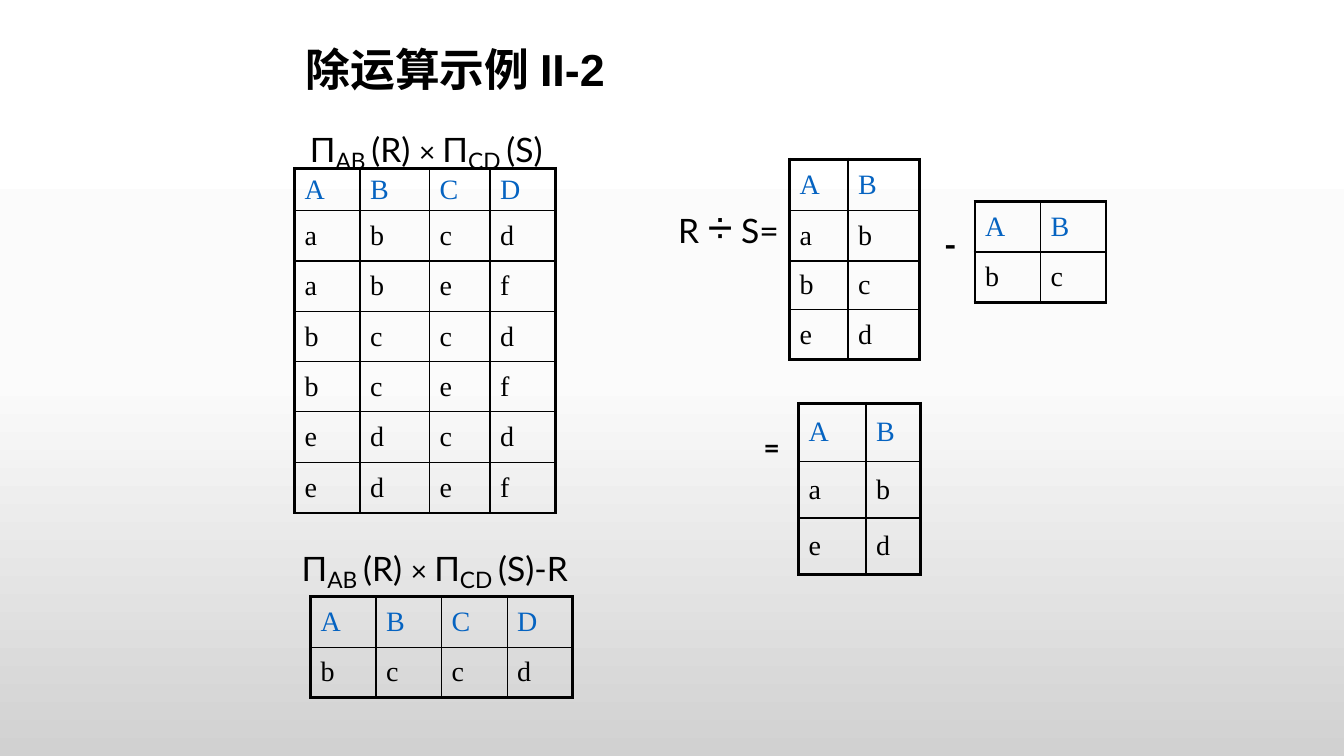
from copy import deepcopy

from lxml import etree
from pptx import Presentation
from pptx.dml.color import RGBColor
from pptx.enum import text
from pptx.oxml import ns
from pptx.util import Inches, Pt

COLORS = {"ink": "000000", "header": "0563C1",
          "top": "FFFFFF", "middle": "FBFBFB", "bottom": "D1D1D1"}
OUTER, INNER = 2.25, 1

# left, top, column widths, row heights, rows with one letter per cell
TABLES = [
    (2.92, 1.67, [0.65, 0.69, 0.6, 0.65], [0.42, 0.5, 0.5, 0.5, 0.49, 0.51, 0.5],
     ["ABCD", "abcd", "abef", "bccd", "bcef", "edcd", "edef"]),
    (3.08, 5.92, [0.65] * 4, [0.5] * 2, ["ABCD", "bccd"]),
    (7.83, 1.58, [0.58, 0.71], [0.51, 0.5, 0.48, 0.5], ["AB", "ab", "bc", "ed"]),
    (9.67, 2, [0.65] * 2, [0.5] * 2, ["AB", "bc"]),
    (7.92, 4, [0.67, 0.54], [0.58, 0.56, 0.56], ["AB", "ab", "ed"]),
]


def rgb(name):
    return RGBColor.from_string(COLORS[name])


def format_font(font, color="ink", **values):
    for name, value in values.items():
        setattr(font, name, value)
    font.color.rgb = rgb(color)


def paint_background(slide):
    fill = slide.background.fill
    fill.gradient()
    fill.gradient_angle = 270
    stop_list = slide.element.find(".//" + ns.qn("a:gsLst"))
    stop_list.append(deepcopy(stop_list[0]))
    stops = zip(fill.gradient_stops, ("top", "middle", "bottom"), (0, 0.5, 1))
    for stop, color, position in stops:
        stop.color.rgb = rgb(color)
        stop.position = position


def place_title(slide, title_text):
    title = slide.shapes.title
    title.left, title.top = Inches(2.83), Inches(0.25)
    title.width, title.height = Inches(8.5), Inches(0.92)
    frame = title.text_frame
    frame.text = title_text
    frame.margin_left = Inches(0.2)
    frame.vertical_anchor = text.MSO_ANCHOR.MIDDLE
    paragraph = frame.paragraphs[0]
    paragraph.alignment = text.PP_ALIGN.LEFT
    paragraph.line_spacing = 0.9
    format_font(paragraph.runs[0].font, name="Arial", size=Pt(32), bold=True)


def add_label(slide, left, top, width, height, runs, wrap=False, bold=False):
    """Add a centred text box; runs hold text, size and optionally a font name."""
    box = slide.shapes.add_textbox(*map(Inches, (left, top, width, height)))
    frame = box.text_frame
    frame.word_wrap = wrap
    paragraph = frame.paragraphs[0]
    paragraph.alignment = text.PP_ALIGN.CENTER
    for run_text, size, *font_name in runs:
        run = paragraph.add_run()
        run.text = run_text
        format_font(run.font, name=font_name[0] if font_name else "Lato",
                    size=Pt(size), bold=bold)
        if run_text in ("AB ", "CD "):
            run.font._element.set("baseline", "-18000")


def projection_product(ending):
    return [("Π", 24), ("AB ", 28), ("(R) ", 24), ("× ", 20),
            ("Π", 24), ("CD ", 28), (ending, 24)]


def set_border(cell, side, width):
    properties = cell._tc.get_or_add_tcPr()
    line = etree.SubElement(properties, ns.qn(f"a:ln{side}"), w=str(Pt(width)))
    fill = etree.SubElement(line, ns.qn("a:solidFill"))
    etree.SubElement(fill, ns.qn("a:srgbClr"), val=COLORS["ink"])


def add_relation(slide, left, top, widths, heights, rows):
    """Add a relation table with a heavy frame and thin inner lines."""
    frame = slide.shapes.add_table(
        len(rows), len(widths), Inches(left), Inches(top),
        Inches(sum(widths)), Inches(sum(heights)))
    table = frame.table
    table.first_row = table.horz_banding = False
    for column, width in zip(table.columns, widths):
        column.width = Inches(width)
    for row, height in zip(table.rows, heights):
        row.height = Inches(height)
    last_row, last_column = len(rows) - 1, len(widths) - 1
    for i, letters in enumerate(rows):
        for j, letter in enumerate(letters):
            cell = table.cell(i, j)
            on_frame = {"L": j == 0, "R": j == last_column,
                        "T": i == 0, "B": i == last_row}
            for side, outer in on_frame.items():
                set_border(cell, side, OUTER if outer else INNER)
            cell.fill.background()
            cell.vertical_anchor = text.MSO_ANCHOR.MIDDLE
            cell.text = letter
            format_font(cell.text_frame.paragraphs[0].runs[0].font,
                        "ink" if i else "header",
                        name="Times New Roman", size=Pt(20))


def main():
    presentation = Presentation()
    presentation.slide_width = Inches(13.33)
    presentation.slide_height = Inches(7.5)
    slide = presentation.slides.add_slide(presentation.slide_layouts[5])
    paint_background(slide)
    place_title(slide, "除运算示例 II-2")
    for relation in TABLES:
        add_relation(slide, *relation)
    add_label(slide, 2.83, 1.17, 2.88, 0.5, projection_product("(S) "))
    add_label(slide, 2.75, 5.33, 3.21, 0.5, projection_product("(S)-R "))
    add_label(slide, 6.58, 1.92, 1.29, 0.63,
              [("R ", 24), ("÷", 32, "Arial Narrow"), (" S=", 24)], wrap=True)
    add_label(slide, 9.25, 2.17, 0.35, 0.5, [("-", 24)], wrap=True, bold=True)
    add_label(slide, 7.44, 4.22, 0.43, 0.43, [("=", 20)], bold=True)
    presentation.save("out.pptx")


if __name__ == "__main__":
    main()
